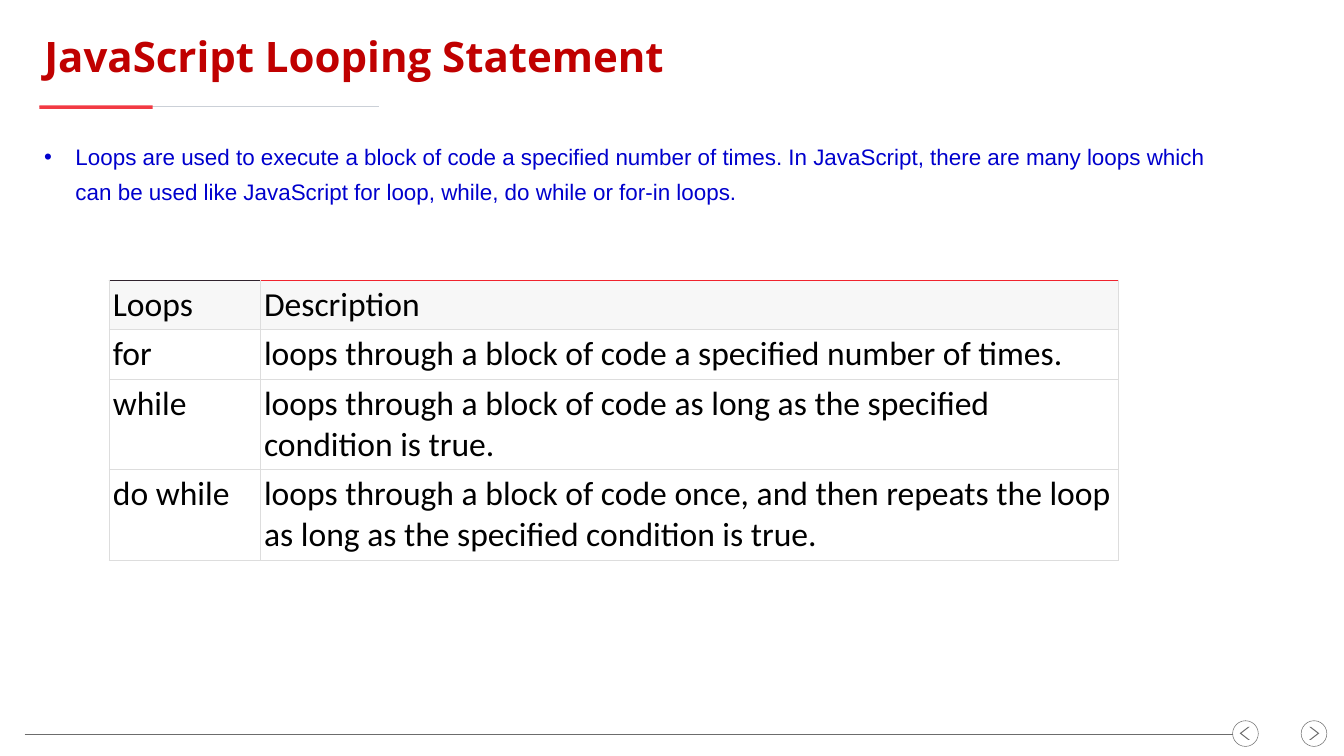
from pptx import Presentation
from pptx.dml.color import RGBColor as Rgb
from pptx.enum.shapes import MSO_CONNECTOR as Link, MSO_SHAPE as Kind
from pptx.enum.text import MSO_ANCHOR as Anchor
from pptx.oxml.ns import qn
from pptx.util import Pt
from lxml.etree import SubElement as Sub

PX = 9144
HUES = {"title": "C00000", "body": "0000CD", "text": "000000", "accent": "F23A43",
        "rule": "CBD0D7", "nav": "6C6C6C", "grid": "DDDDDD", "head": "F7F7F7",
        "cell": "FFFFFF", "dark": "30232D", "red": "F0232D"}
TITLE = "JavaScript Looping Statement"
BODY = ("Loops are used to execute a block of code a specified number of times. "
        "In JavaScript, there are many loops which can be used like JavaScript "
        "for loop, while, do while or for-in loops.")
ROWS = [
    ("Loops", "Description"),
    ("for", "loops through a block of code a specified number of times."),
    ("while", "loops through a block of code as long as the specified condition is true."),
    ("do while", "loops through a block of code once, and then repeats the loop "
                 "as long as the specified condition is true."),
]
WIDE = [300, 1703]
HIGH = [98, 98, 180, 180]
TOPS = ["dark", "red"]
LINES = [((78, 212), (752, 212), "rule", 1.5), ((49, 1456), (2446, 1456), "nav", 0.75)]
NAV = [(2446, 14, 180), (2582, 16, 0)]
FONTS = {
    "title": {"name": "Open Sans", "size": Pt(60), "bold": True},
    "body": {"name": "Arial", "size": Pt(32), "bold": False},
    "text": {"name": "Calibri", "size": Pt(48), "bold": False},
}


def emu(*nums):
    return [n * PX for n in nums]


def hue(key):
    return Rgb.from_string(HUES[key])


def put(item, vals):
    for key, val in vals.items():
        setattr(item, key, val)


def write(frame, text, role):
    para = frame.paragraphs[0]
    run = para.add_run()
    run.text = text
    put(run.font, FONTS[role])
    run.font.color.rgb = hue(role)
    return para


def box(slide, place, text, role, anchor):
    frame = slide.shapes.add_textbox(*emu(*place)).text_frame
    put(frame, {"word_wrap": True, "vertical_anchor": anchor})
    return write(frame, text, role)


def rule(slide, start, end, key, width):
    line = slide.shapes.add_connector(Link.STRAIGHT, *emu(*start, *end))
    line.line.color.rgb = hue(key)
    line.line.width = Pt(width)
    Sub(line._element.spPr, qn("a:effectLst"))


def shape(slide, kind, place, fill=None, edge=None):
    item = slide.shapes.add_shape(kind, *emu(*place))
    item.shadow.inherit = False
    if fill:
        item.fill.solid()
        item.fill.fore_color.rgb = hue(fill)
    else:
        item.fill.background()
    if edge:
        item.line.color.rgb = hue(edge)
        item.line.width = Pt(0.75)
    else:
        item.line.fill.background()
    return item


def border(cell, side, key):
    line = Sub(cell._tc.get_or_add_tcPr(), qn("a:ln" + side), w=str(Pt(0.75)))
    Sub(Sub(line, qn("a:solidFill")), qn("a:srgbClr"), val=HUES[key])


def grid(slide):
    frame = slide.shapes.add_table(len(ROWS), len(WIDE),
                                   *emu(216, 556, sum(WIDE), sum(HIGH)))
    table = frame.table
    put(table, {"first_row": False, "horz_banding": False})
    for col, wide in zip(table.columns, WIDE):
        col.width = wide * PX
    for r, (row, high) in enumerate(zip(ROWS, HIGH)):
        table.rows[r].height = high * PX
        for c, text in enumerate(row):
            cell = table.cell(r, c)
            pad = 8 * PX
            put(cell, {"margin_left": pad, "margin_right": pad, "margin_top": pad,
                       "margin_bottom": pad,
                       "vertical_anchor": Anchor.TOP if r else Anchor.BOTTOM})
            for side in "LRTB":
                border(cell, side, TOPS[c] if side == "T" and not r else "grid")
            cell.fill.solid()
            cell.fill.fore_color.rgb = hue("cell" if r else "head")
            write(cell.text_frame, text, "text")


def main():
    deck = Presentation()
    put(deck, {"slide_width": 2667 * PX, "slide_height": 1500 * PX})
    slide = deck.slides.add_slide(deck.slide_layouts[6])
    for line in LINES:
        rule(slide, *line)
    shape(slide, Kind.RECTANGLE, (78, 209, 225, 7), fill="accent")
    for left, inset, turn in NAV:
        shape(slide, Kind.OVAL, (left, 1430, 51, 51), edge="nav")
        mark = shape(slide, Kind.CHEVRON, (left + inset, 1442, 20, 26), fill="nav")
        mark.adjustments[0] = 0.84
        mark.rotation = turn
    box(slide, (78, 59, 2505, 104), TITLE, "title", Anchor.MIDDLE)
    para = box(slide, (78, 263, 2333, 1088), BODY, "body", Anchor.TOP)
    put(para, {"line_spacing": 1.3, "space_after": Pt(12)})
    props = para._p.get_or_add_pPr()
    props.set("marL", str(62 * PX))
    props.set("indent", str(-62 * PX))
    Sub(props, qn("a:buFont"), typeface="Arial")
    Sub(props, qn("a:buChar"), char="•")
    grid(slide)
    deck.save("out.pptx")


if __name__ == "__main__":
    main()
